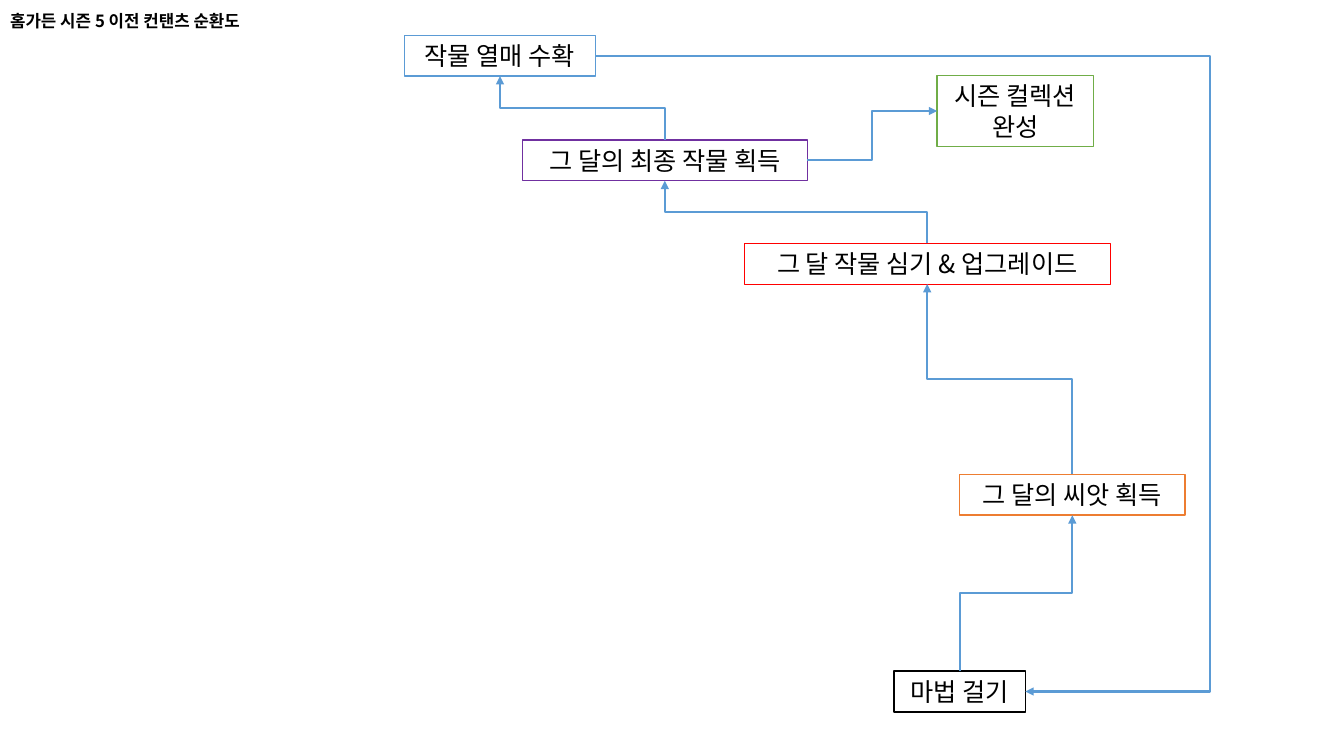
from lxml.etree import SubElement
from pptx import Presentation
from pptx.dml.color import RGBColor
from pptx.enum.shapes import MSO_CONNECTOR as CONN, MSO_SHAPE as SHAPE
from pptx.enum.text import MSO_ANCHOR as ANCHOR, MSO_AUTO_SIZE as AUTO, PP_ALIGN as ALIGN
from pptx.oxml.ns import qn
from pptx.util import Pt

FONT = "Noto Sans CJK KR"
COLORS = {"text": "000000", "fill": "FFFFFF", "arrow": "5B9BD5",
          "black": "000000", "green": "70AD47", "purple": "7030A0",
          "orange": "ED7D31", "blue": "5B9BD5", "red": "FF0000"}
TITLE = "홈가든 시즌 5 이전 컨탠츠 순환도"

# name: (text, left, top, width, height, line colour, line width)
BOXES = {
    "magic": ("마법 걸기", 638.6, 479.4, 93.8, 29.1, "black", 1),
    "collection": ("시즌 컬렉션\n완성", 669.4, 53.9, 111.7, 50.9, "green", 1),
    "final_crop": ("그 달의 최종 작물 획득", 373.1, 100, 203.6, 29.1, "purple", 1),
    "seed": ("그 달의 씨앗 획득", 685.4, 338.9, 161.1, 29.1, "orange", 1),
    "harvest": ("작물 열매 수확", 288.8, 25.3, 136.7, 29.1, "blue", 1),
    "planting": ("그 달 작물 심기 & 업그레이드", 531.5, 173.8, 261.6, 29.1, "red", 0.5),
}
TOP, LEFT, BOTTOM, RIGHT = range(4)
# start box, start side, end box, end side, x of the vertical run if not halfway
ARROWS = [
    ("harvest", RIGHT, "magic", RIGHT, 864),
    ("final_crop", TOP, "harvest", BOTTOM, None),
    ("magic", TOP, "seed", BOTTOM, None),
    ("final_crop", RIGHT, "collection", LEFT, None),
    ("seed", TOP, "planting", BOTTOM, None),
    ("planting", TOP, "final_crop", BOTTOM, None),
]


def rgb(name):
    return RGBColor.from_string(COLORS[name])


def set_font(p, size, bold=False):
    p.font.size = Pt(size)
    p.font.bold = bold
    p.font.color.rgb = rgb("text")
    p.font.name = FONT
    SubElement(p.font._element, qn("a:ea"), typeface=FONT)


def add_box(text, left, top, width, height, color, weight):
    s = shapes.add_shape(SHAPE.RECTANGLE, Pt(left), Pt(top), Pt(width), Pt(height))
    s.shadow.inherit = False
    s.fill.solid()
    s.fill.fore_color.rgb = rgb("fill")
    s.line.color.rgb = rgb(color)
    s.line.width = Pt(weight)
    tf = s.text_frame
    tf.text = text
    tf.word_wrap = False
    tf.auto_size = AUTO.SHAPE_TO_FIT_TEXT
    for p in tf.paragraphs:
        p.alignment = ALIGN.CENTER
        set_font(p, 18)


def turn_upward(c):
    """Rotate an elbow connector so that it leaves and arrives vertically."""
    x1, y1, x2, y2 = c.begin_x, c.begin_y, c.end_x, c.end_y
    w, h = abs(y2 - y1), abs(x2 - x1)
    c.left, c.top = (x1 + x2 - w) // 2, (y1 + y2 - h) // 2
    c.width, c.height = w, h
    xfrm = c._element.spPr.find(qn("a:xfrm"))
    xfrm.set("rot", str(270 * 60000))
    xfrm.set("flipH", "0")
    xfrm.set("flipV", "1" if x2 < x1 else "0")


def add_arrow(start, start_side, end, end_side, bend_x):
    c = shapes.add_connector(CONN.ELBOW, 0, 0, 0, 0)
    c.begin_connect(boxes[start], start_side)
    c.end_connect(boxes[end], end_side)
    c.line.color.rgb = rgb("arrow")
    c.line.width = Pt(1.5)
    SubElement(c.line._get_or_add_ln(), qn("a:tailEnd"), type="triangle")
    spPr = c._element.spPr
    SubElement(spPr, qn("a:effectLst"))
    if bend_x is not None:
        bend = round((Pt(bend_x) - c.begin_x) / (c.end_x - c.begin_x) * 100000)
        guides = spPr.find(qn("a:prstGeom")).get_or_add_avLst()
        SubElement(guides, qn("a:gd"), name="adj1", fmla=f"val {bend}")
    if start_side == TOP:
        turn_upward(c)


prs = Presentation()
prs.slide_width, prs.slide_height = Pt(960), Pt(540)
shapes = prs.slides.add_slide(prs.slide_layouts[5]).shapes

title = shapes.title
title.left, title.top, title.width, title.height = 0, 0, prs.slide_width, Pt(31)
title.text_frame.text = TITLE
title.text_frame.vertical_anchor = ANCHOR.MIDDLE
p = title.text_frame.paragraphs[0]
p.alignment = ALIGN.LEFT
p.line_spacing = 0.9
set_font(p, 12, bold=True)

boxes = {}
for name, box in BOXES.items():
    add_box(*box)
    boxes[name] = shapes[-1]
for arrow in ARROWS:
    add_arrow(*arrow)

prs.save("out.pptx")
